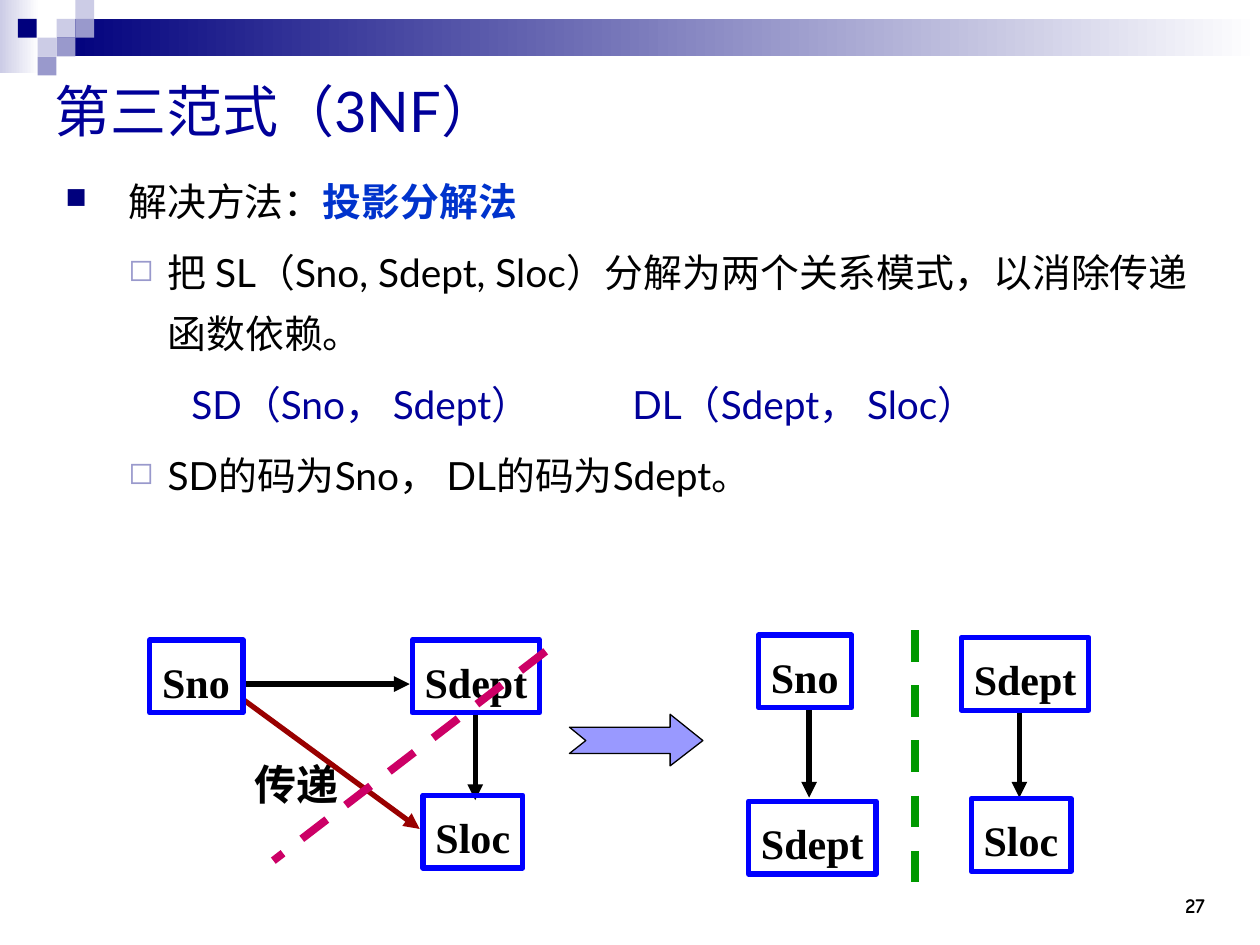
from lxml import etree
from pptx import Presentation
from pptx.dml.color import RGBColor
from pptx.enum.dml import MSO_LINE
from pptx.enum.shapes import MSO_CONNECTOR, MSO_SHAPE
from pptx.enum.text import MSO_ANCHOR, MSO_AUTO_SIZE, PP_ALIGN
from pptx.oxml.ns import qn
from pptx.util import Cm, Pt

RECTANGLE = MSO_SHAPE.RECTANGLE
STRAIGHT = MSO_CONNECTOR.STRAIGHT
DASH = MSO_LINE.DASH
TOP, MIDDLE, BOTTOM = MSO_ANCHOR.TOP, MSO_ANCHOR.MIDDLE, MSO_ANCHOR.BOTTOM
GROW = MSO_AUTO_SIZE.SHAPE_TO_FIT_TEXT

BLACK = RGBColor(0x00, 0x00, 0x00)
WHITE = RGBColor(0xFF, 0xFF, 0xFF)
NAVY = RGBColor(0x00, 0x00, 0x7D)
PALE = RGBColor(0xCC, 0xCC, 0xE6)
LILAC = RGBColor(0x99, 0x99, 0xCC)
TITLE_BLUE = RGBColor(0x00, 0x00, 0x99)
KEY_BLUE = RGBColor(0x00, 0x33, 0xCC)
BOX_BLUE = RGBColor(0x00, 0x00, 0xFF)
ARROW_FILL = RGBColor(0x99, 0x99, 0xFF)
DARK_RED = RGBColor(0x99, 0x00, 0x00)
MAGENTA = RGBColor(0xCC, 0x00, 0x66)
GREEN = RGBColor(0x00, 0x99, 0x00)

# All lengths below are centimetres
BANDS = [(0, 0, 0.79, 1.47, PALE), (1.14, 0.38, 24.26, 0.76, NAVY)]
TILE = 0.38
TILES = [  # left, top, colour
    (1.14, 0.38, PALE), (1.52, 0, PALE), (1.52, 0.38, LILAC), (0.76, 0.76, PALE),
    (0.36, 0.38, NAVY), (1.14, 0.76, LILAC), (0.76, 1.14, LILAC),
]

# Paragraph styles: left margin, first-line indent, bullet (character, colour, percent), first tab
HEAD = (1.27, -1.27, ("■", NAVY, 75), 1)
ITEM = (2.06, -0.79, ("◻", LILAC, 80), 1)
SCHEMAS = (1.27, -1.27, None, 0)
BODY = [  # style, runs of (text, colour, bold)
    (HEAD, [("解决方法：", BLACK, False), ("投影分解法", KEY_BLUE, True)]),
    (ITEM, [("把 SL（Sno, Sdept, Sloc）分解为两个关系模式，以消除传递函数依赖。", BLACK, False)]),
    (SCHEMAS, [("\t\tSD（Sno， Sdept）\t\tDL（Sdept， Sloc）", TITLE_BLUE, False)]),
    (ITEM, [("SD的码为Sno， DL的码为Sdept。", BLACK, False)]),
]
TAB_GAP, TAB_COUNT = 2.54, 8

BOX_HEIGHT = 1.47
BOX_WIDTHS = {"Sno": 1.88, "Sdept": 2.57, "Sloc": 2.01}
BOXES = [  # attribute, left, top, fill
    ("Sdept", 19.38, 12.85, WHITE), ("Sloc", 19.58, 16.1, WHITE),
    ("Sno", 15.29, 12.8, WHITE), ("Sdept", 15.09, 16.15, WHITE),
    ("Sdept", 8.31, 12.9, WHITE), ("Sloc", 8.53, 16.03, None),
    ("Sno", 3.02, 12.9, WHITE),
]
ARROWS = [  # start, end, colour
    ((20.55, 14.17), (20.55, 16.08), BLACK),
    ((16.31, 13.34), (16.31, 16.08), BLACK),
    ((4.45, 13.77), (8.46, 16.71), DARK_RED),
    ((9.58, 14.22), (9.58, 16.13), BLACK),
    ((4.45, 13.79), (8.26, 13.79), BLACK),
]
DASHES = [
    ((18.44, 12.7), (18.44, 17.78), GREEN),
    ((11, 13.13), (5.51, 17.35), MAGENTA),
]
BLOCK_ARROW = [
    (11.48, 14.66), (13.51, 14.66), (13.51, 14.4), (14.17, 14.93),
    (13.51, 15.44), (13.51, 15.19), (11.48, 15.19), (11.81, 14.93),
]


def add_rectangle(page, left, top, width, height):
    shape = page.shapes.add_shape(RECTANGLE, Cm(left), Cm(top), Cm(width), Cm(height))
    shape.shadow.inherit = False
    shape.line.fill.background()
    return shape


def paint(shape, color):
    shape.fill.solid()
    shape.fill.fore_color.rgb = color


def style_font(font, name, size, color, bold=False):
    font.name, font.size, font.bold = name, Pt(size), bold
    font.color.rgb = color


def add_text(page, text, place, name, size, color, bold=False, anchor=TOP):
    box = page.shapes.add_textbox(*map(Cm, place))
    frame = box.text_frame
    frame.word_wrap = True
    frame.vertical_anchor = anchor
    frame.text = text
    para = frame.paragraphs[0]
    style_font(para.runs[0].font, name, size, color, bold)
    return para


def add_line(page, start, end, color, width):
    line = page.shapes.add_connector(STRAIGHT, *map(Cm, start + end))
    line.line.color.rgb = color
    line.line.width = Pt(width)
    etree.SubElement(line._element.spPr, qn("a:effectLst"))
    return line


def format_paragraph(para, style):
    margin, indent, bullet, first_tab = style
    para.line_spacing = 1.3
    properties = para._p.get_or_add_pPr()
    properties.set("marL", str(Cm(margin)))
    properties.set("indent", str(Cm(indent)))
    if bullet:
        character, color, percent = bullet
        holder = etree.SubElement(properties, qn("a:buClr"))
        etree.SubElement(holder, qn("a:srgbClr"), val=str(color))
        etree.SubElement(properties, qn("a:buSzPct"), val=str(percent * 1000))
        etree.SubElement(properties, qn("a:buChar"), char=character)
    else:
        etree.SubElement(properties, qn("a:buNone"))
    tabs = etree.SubElement(properties, qn("a:tabLst"))
    for number in range(first_tab, first_tab + TAB_COUNT):
        etree.SubElement(tabs, qn("a:tab"), pos=str(Cm(number * TAB_GAP)), algn="l")


def main():
    deck = Presentation()
    deck.slide_width, deck.slide_height = Cm(25.4), Cm(19.05)
    page = deck.slides.add_slide(deck.slide_layouts[6])

    # Header decoration
    for left, top, width, height, color in BANDS:
        band = add_rectangle(page, left, top, width, height)
        band.fill.gradient()
        band.fill.gradient_angle = 0
        for stop, shade in zip(band.fill.gradient_stops, (color, WHITE)):
            stop.color.rgb = shade
    for left, top, color in TILES:
        paint(add_rectangle(page, left, top, TILE, TILE), color)

    # Page number and title
    number = add_text(page, "27", (22.43, 17.35, 2.11, 1.27), "Comic Neue", 12, BLACK, True, BOTTOM)
    number.alignment = PP_ALIGN.RIGHT
    add_text(page, "第三范式（3NF）", (0.84, 1.27, 22.86, 1.91), "Lato", 32, TITLE_BLUE, anchor=MIDDLE)

    # Body text
    frame = page.shapes.add_textbox(Cm(1.07), Cm(3.18), Cm(23.29), Cm(8.26)).text_frame
    frame.word_wrap = True
    for index, (style, runs) in enumerate(BODY):
        para = frame.add_paragraph() if index else frame.paragraphs[0]
        format_paragraph(para, style)
        if index:
            para.space_before = Pt(6)
        for text, color, bold in runs:
            span = para.add_run()
            span.text = text
            style_font(span.font, "Lato", 22.2, color, bold)

    # Dependency diagrams
    label = add_text(page, "传递", (4.88, 14.96, 2.97, 1.47), "Times New Roman", 24, BLACK, True)
    label.line_spacing = 1.2
    for start, end, color in ARROWS:
        arrow = add_line(page, start, end, color, 3)
        etree.SubElement(arrow.line._get_or_add_ln(), qn("a:tailEnd"), type="triangle")
    for attribute, left, top, fill in BOXES:
        box = add_rectangle(page, left, top, BOX_WIDTHS[attribute], BOX_HEIGHT)
        if fill:
            paint(box, fill)
        else:
            box.fill.background()
        box.line.color.rgb = BOX_BLUE
        box.line.width = Pt(3)
        frame = box.text_frame
        frame.text = attribute
        frame.word_wrap = False
        frame.auto_size = GROW
        frame.vertical_anchor = TOP
        para = frame.paragraphs[0]
        para.alignment = PP_ALIGN.LEFT
        para.line_spacing = 1.2
        style_font(para.runs[0].font, "Times New Roman", 24, BLACK, True)
    for start, end, color in DASHES:
        add_line(page, start, end, color, 4.5).line.dash_style = DASH

    # Block arrow between the two diagrams
    points = [(Cm(x), Cm(y)) for x, y in BLOCK_ARROW]
    builder = page.shapes.build_freeform(*points[0])
    builder.add_line_segments(points[1:], close=True)
    block = builder.convert_to_shape()
    block.shadow.inherit = False
    paint(block, ARROW_FILL)
    block.line.color.rgb = BLACK
    block.line.width = Pt(0.75)

    deck.save("out.pptx")


if __name__ == "__main__":
    main()
